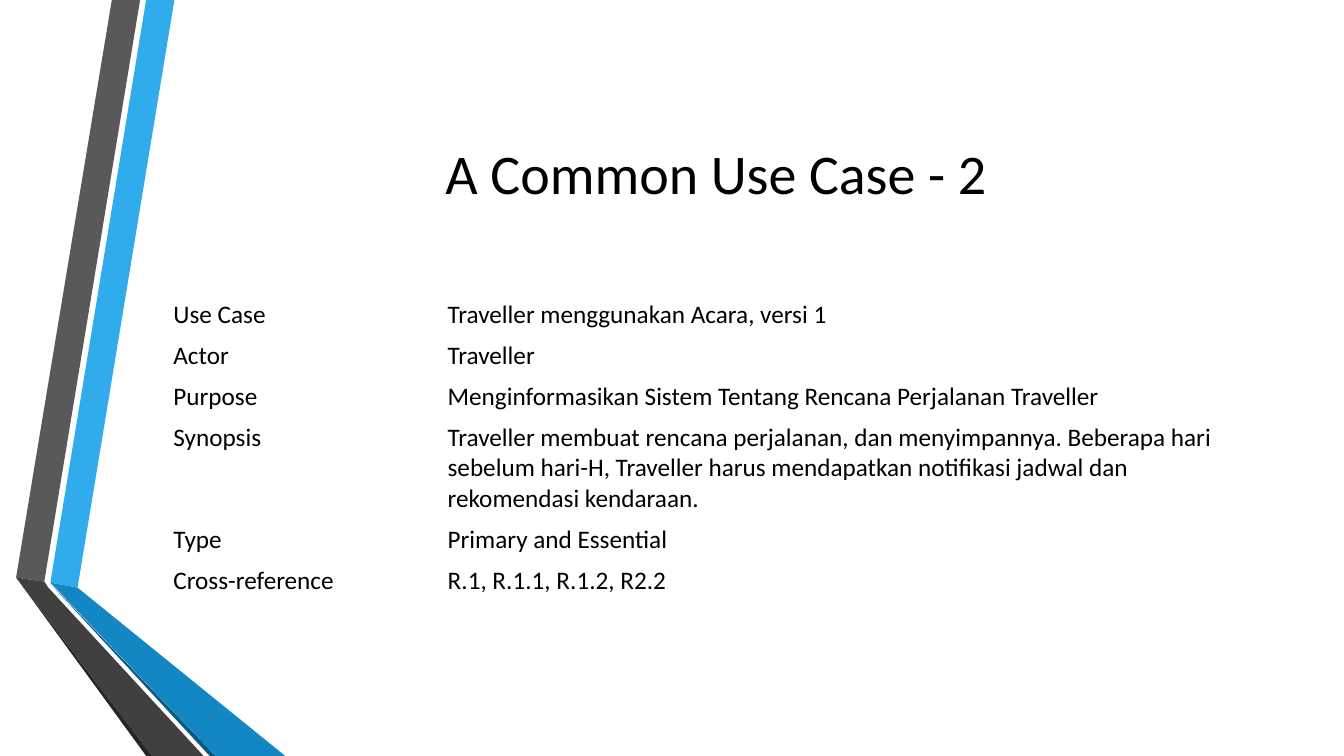
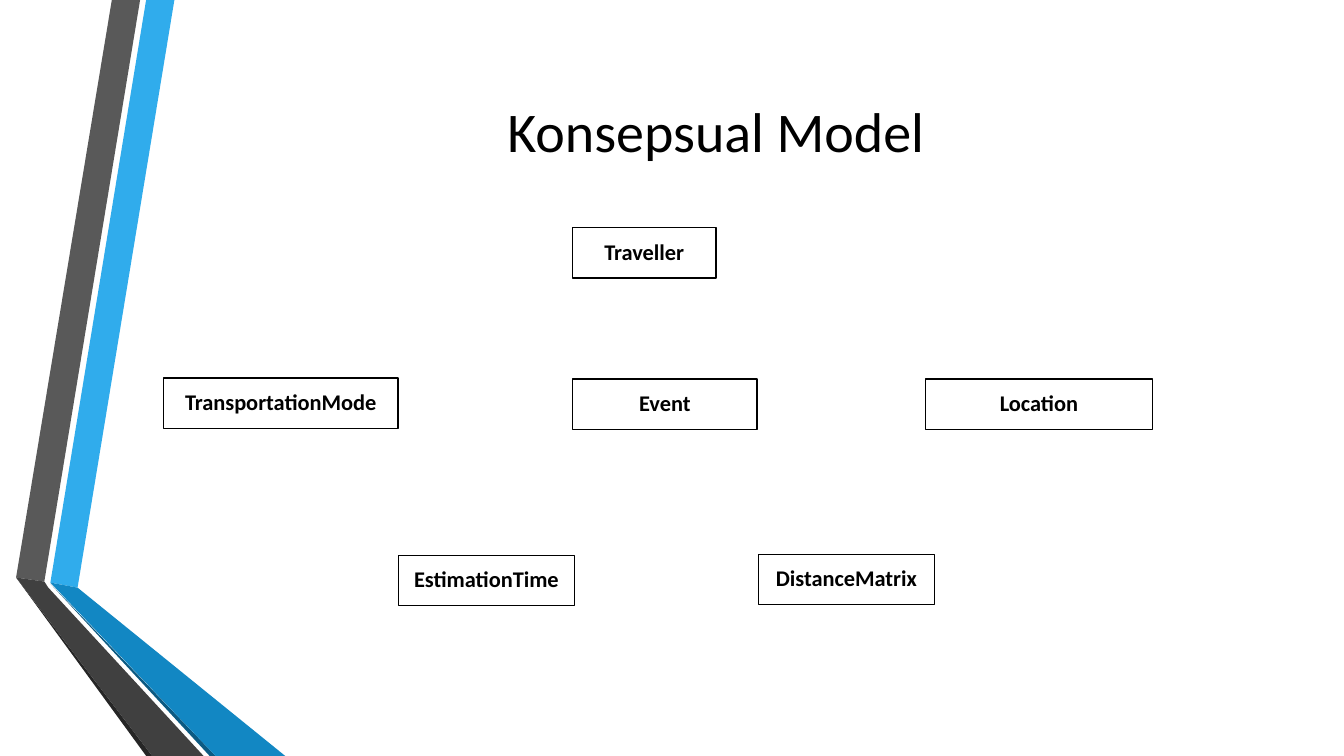
from dataclasses import dataclass

from pptx import Presentation
from pptx.dml.color import RGBColor
from pptx.enum.shapes import MSO_SHAPE
from pptx.enum.text import MSO_ANCHOR, MSO_AUTO_SIZE, PP_ALIGN
from pptx.util import Inches, Pt

RECTANGLE = MSO_SHAPE.RECTANGLE
MIDDLE = MSO_ANCHOR.MIDDLE
CENTER = PP_ALIGN.CENTER
NO_AUTOFIT = MSO_AUTO_SIZE.NONE
TITLE_ONLY = 5


@dataclass(frozen=True)
class Theme:
    """Colours, font and type sizes shared by the slides."""
    font: str = "Calibri"
    ink: RGBColor = RGBColor(0, 0, 0)
    paper: RGBColor = RGBColor(255, 255, 255)
    title: Pt = Pt(40)
    body: Pt = Pt(18)
    label: Pt = Pt(16)


THEME = Theme()
LEFT, WIDTH = 1.62, 10.96

# Ribbon colour and outline, in inches, from back to front
RIBBONS = [
    ("30ACEC", [(0.5, 5.78), (0.77, 5.83), (1.73, 0), (1.45, 0)]),
    ("595959", [(1.39, 0), (1.11, 0), (0.16, 5.73), (0.44, 5.77)]),
    ("262626", [(0.16, 5.73), (1.45, 7.5), (1.51, 7.5)]),
    ("0C5A82", [(0.5, 5.79), (2.08, 7.5), (2.14, 7.5)]),
    ("1287C3", [(0.5, 5.78), (2.14, 7.5), (2.83, 7.5), (0.77, 5.83)]),
    ("404040", [(2.02, 7.5), (0.48, 5.83), (0.44, 5.77), (0.16, 5.73), (1.51, 7.5)]),
]


def write(frame, text, size, bold=False):
    """Write one run into the first paragraph and return the paragraph."""
    para = frame.paragraphs[0]
    span = para.add_run()
    span.text = text
    span.font.name = THEME.font
    span.font.size = size
    span.font.bold = bold
    span.font.color.rgb = THEME.ink
    return para


def add_page(deck, heading, top):
    """Add a slide with the ribbons and a centred title."""
    page = deck.slides.add_slide(deck.slide_layouts[TITLE_ONLY])
    for colour, outline in RIBBONS:
        points = [(Inches(x), Inches(y)) for x, y in outline]
        builder = page.shapes.build_freeform(*points[0])
        builder.add_line_segments(points[1:], close=True)
        ribbon = builder.convert_to_shape()
        ribbon.shadow.inherit = False
        ribbon.fill.solid()
        ribbon.fill.fore_color.rgb = RGBColor.from_string(colour)
        ribbon.line.fill.background()
    title = page.shapes.title
    title.left, title.top = Inches(LEFT), Inches(top)
    title.width, title.height = Inches(WIDTH), Inches(1.92)
    frame = title.text_frame
    frame.auto_size = NO_AUTOFIT
    frame.word_wrap = True
    frame.vertical_anchor = MIDDLE
    write(frame, heading, THEME.title).alignment = CENTER
    return page


deck = Presentation()
deck.slide_width, deck.slide_height = Inches(13.33), Inches(7.5)

# Slide 1: use case table
page = add_page(deck, "A Common Use Case - 2", 0.75)
USE_CASE = [
    ("Use Case", "Traveller menggunakan Acara, versi 1"),
    ("Actor", "Traveller"),
    ("Purpose", "Menginformasikan Sistem Tentang Rencana Perjalanan Traveller"),
    ("Synopsis", "Traveller membuat rencana perjalanan, dan menyimpannya. "
                 "Beberapa hari sebelum hari-H, Traveller harus mendapatkan "
                 "notifikasi jadwal dan rekomendasi kendaraan."),
    ("Type", "Primary and Essential"),
    ("Cross-reference", "R.1, R.1.1, R.1.2, R2.2"),
]
table = page.shapes.add_table(len(USE_CASE), 2, Inches(LEFT), Inches(2.92),
                              Inches(WIDTH), Inches(3.03)).table
table.first_row = table.horz_banding = False
for column, width in zip(table.columns, (2.72, 8.23)):
    column.width = Inches(width)
for row, texts in zip(table.rows, USE_CASE):
    row.height = Inches(1.02 if texts[0] == "Synopsis" else 0.4)
    for cell, text in zip(row.cells, texts):
        cell.fill.background()
        write(cell.text_frame, text, THEME.body)

# Slide 2: concepts of the model, as name, left, top and width
page = add_page(deck, "Konsepsual Model", 0.33)
CONCEPTS = [
    ("DistanceMatrix", 7.52, 5.5, 1.75),
    ("EstimationTime", 3.95, 5.51, 1.75),
    ("Event", 5.68, 3.76, 1.83),
    ("Location", 9.18, 3.76, 2.25),
    ("Traveller", 5.68, 2.26, 1.42),
    ("TransportationMode", 1.62, 3.75, 2.33),
]
for name, left, top, width in CONCEPTS:
    box = page.shapes.add_shape(RECTANGLE, Inches(left), Inches(top),
                                Inches(width), Inches(0.5))
    box.shadow.inherit = False
    box.fill.solid()
    box.fill.fore_color.rgb = THEME.paper
    box.line.color.rgb = THEME.ink
    box.line.width = Pt(1)
    box.text_frame.word_wrap = False
    box.text_frame.vertical_anchor = MIDDLE
    para = write(box.text_frame, name, THEME.label, bold=True)
    para.alignment = CENTER
    para.line_spacing = 0.89

deck.save("out.pptx")
